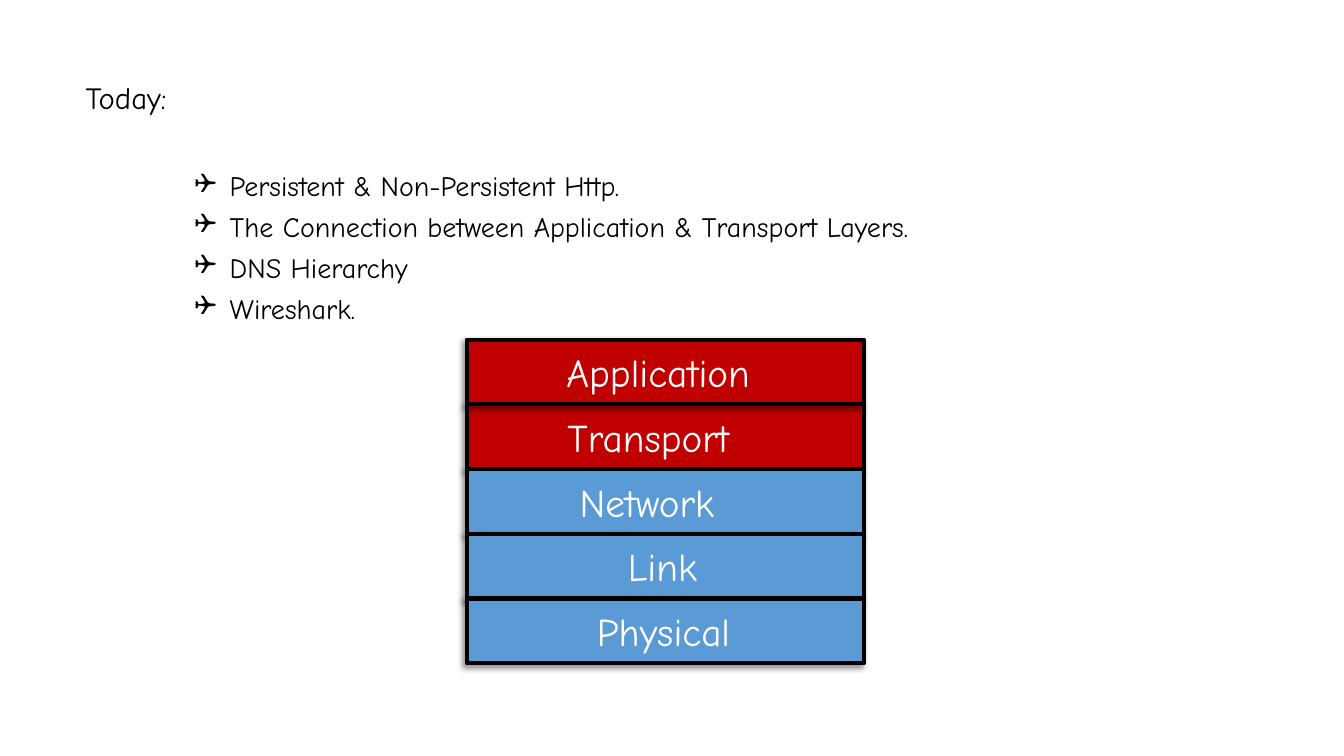
from lxml.etree import SubElement
from pptx import Presentation
from pptx.dml.color import RGBColor
from pptx.enum.shapes import MSO_SHAPE as Shape
from pptx.enum.text import MSO_AUTO_SIZE as AutoSize, PP_ALIGN as Align
from pptx.oxml.ns import qn
from pptx.util import Inches, Pt

FONT = "Comic Neue"
COLORS = {"text": "000000", "label": "FFFFFF", "outline": "000000",
          "today": "C00000", "other": "5B9BD5", "shadow": "000000"}
TOPICS = ["Persistent & Non-Persistent Http.",
          "The Connection between Application & Transport Layers.",
          "DNS Hierarchy", "Wireshark."]
LAYERS = [(1, "Transport", "today", 0.9, Align.LEFT),
          (0, "Application", "today", 0.89, Align.LEFT),
          (2, "Network", "other", 1.02, Align.LEFT),
          (3, "Link", "other", 0.73, Align.CENTER),
          (4, "Physical", "other", 0.74, Align.CENTER)]


def rgb(name):
    """Return the named colour."""
    return RGBColor.from_string(COLORS[name])


def add_text(slide, box, lines, size, color):
    """Add a wrapped text box with one paragraph per line."""
    frame = slide.shapes.add_textbox(*map(Inches, box)).text_frame
    frame.word_wrap = True
    frame.text = "\n".join(lines)
    for paragraph in frame.paragraphs:
        for run in paragraph.runs:
            run.font.name = FONT
            run.font.size = Pt(size)
            run.font.color.rgb = rgb(color)
    return frame


def add_bullet(paragraph, symbol, indent):
    """Give a paragraph a hanging bullet."""
    properties = paragraph._p.get_or_add_pPr()
    properties.set("marL", str(Inches(indent)))
    properties.set("indent", str(-Inches(indent)))
    SubElement(properties, qn("a:buFont"), typeface="Wingdings")
    SubElement(properties, qn("a:buChar"), char=symbol)


def add_shadow(shape):
    """Cast a soft shadow to the lower left."""
    shape.shadow.inherit = False
    effects = shape._element.spPr.find(qn("a:effectLst"))
    outer = SubElement(effects, qn("a:outerShdw"), blurRad=str(Pt(4)),
                       dist=str(Pt(3)), dir=str(135 * 60000),
                       algn="tr", rotWithShape="0")
    tint = SubElement(outer, qn("a:srgbClr"), val=COLORS["shadow"])
    SubElement(tint, qn("a:alpha"), val="40000")


def build_heading(slide, box):
    """Write the heading."""
    heading = add_text(slide, box, ["Today:"], 22, "text")
    heading.paragraphs[0].line_spacing = 0.9


def build_topics(slide, box):
    """List the topics with check boxes."""
    topics = add_text(slide, box, TOPICS, 20, "text")
    for index, topic in enumerate(topics.paragraphs):
        add_bullet(topic, "❑", 0.35)
        topic.line_spacing = 0.8
        if index:
            topic.space_before = Pt(10)


def build_layer_stack(slide, box):
    """Stack the network layers and label them."""
    left, top, width, height = box
    step = height / len(LAYERS)
    for row, _, fill, _, _ in LAYERS:
        layer = slide.shapes.add_shape(
            Shape.RECTANGLE, Inches(left), Inches(top + row * step),
            Inches(width), Inches(step))
        layer.fill.solid()
        layer.fill.fore_color.rgb = rgb(fill)
        layer.line.color.rgb = rgb("outline")
        layer.line.width = Pt(3)
        add_shadow(layer)
    for row, name, _, offset, align in sorted(LAYERS):
        label_box = (left + offset, top + row * step + 0.04, 2.42, 0.57)
        label = add_text(slide, label_box, [name], 28, "label")
        label.auto_size = AutoSize.SHAPE_TO_FIT_TEXT
        label.paragraphs[0].alignment = align


def main():
    """Build and save the slide."""
    deck = Presentation()
    deck.slide_width, deck.slide_height = Inches(13.33), Inches(7.5)
    slide = deck.slides.add_slide(deck.slide_layouts[6])
    build_heading(slide, (0.75, 0.77, 11.5, 0.51))
    build_topics(slide, (1.83, 1.69, 11.12, 1.64))
    build_layer_stack(slide, (4.63, 3.37, 3.94, 3.21))
    deck.save("out.pptx")


if __name__ == "__main__":
    main()
